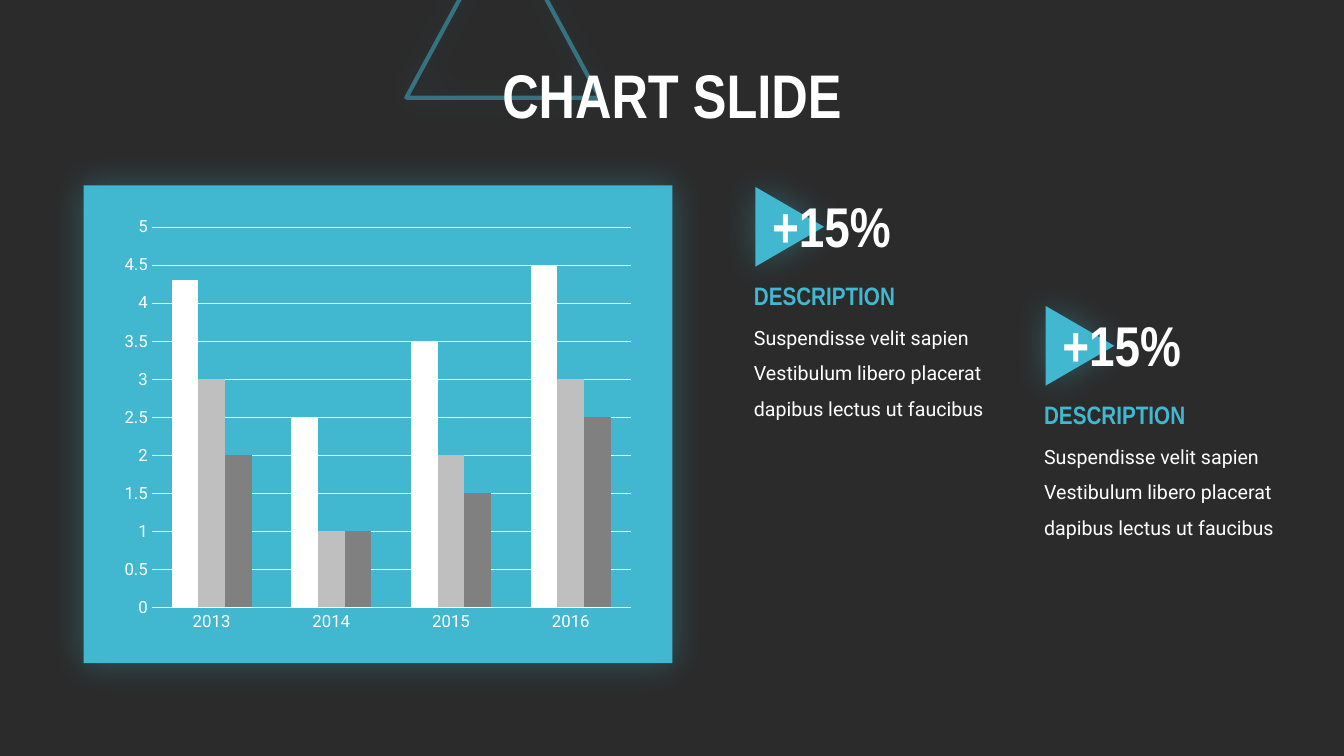
import pptx
import pptx.chart.data
import pptx.dml.color
import pptx.enum.chart
import pptx.enum.shapes
import pptx.enum.text
import pptx.oxml
import pptx.oxml.ns
import pptx.util
from pptx.util import Pt

CYAN, WHITE, DARK = "41B7D0", "FFFFFF", "2B2B2B"
HEADING, BODY = "Arial Narrow", "Roboto"
SHAPES = pptx.enum.shapes.MSO_SHAPE
SERIES = {
    "Series 1": ((4.3, 2.5, 3.5, 4.5), WHITE),
    "Series 2": ((3, 1, 2, 3), "BFBFBF"),
    "Series 3": ((2, 1, 1.5, 2.5), "808080"),
}


def paint(target, color):
    """Give a fill a solid colour."""
    target.solid()
    target.fore_color.rgb = pptx.dml.color.RGBColor.from_string(color)


def style_font(font, face, size, color, bold=False):
    """Set the face, size, colour and weight of a font."""
    font.name, font.size, font.bold = face, Pt(size), bold
    paint(font.fill, color)


def add_glowing_shape(page, kind, left, top, width, height):
    """Add a cyan shape with a soft cyan shadow around it."""
    shape = page.shapes.add_shape(kind, Pt(left), Pt(top), Pt(width), Pt(height))
    paint(shape.fill, CYAN)
    shape.line.fill.background()
    shape.shadow.inherit = False
    effects = shape._element.spPr.find(pptx.oxml.ns.qn("a:effectLst"))
    effects.append(pptx.oxml.parse_xml(
        f'<a:outerShdw {pptx.oxml.ns.nsdecls("a")} blurRad="{Pt(25)}" dist="0" '
        f'algn="ctr" rotWithShape="0"><a:srgbClr val="{CYAN}">'
        '<a:alpha val="35000"/></a:srgbClr></a:outerShdw>'))
    return shape


def add_outline_triangle(page):
    """Add the half-transparent triangle outline at the top edge."""
    triangle = add_glowing_shape(page, SHAPES.ISOSCELES_TRIANGLE, 290.2, -57.6, 138.2, 127.4)
    triangle.fill.background()
    paint(triangle.line.fill, CYAN)
    triangle.line.width = Pt(3)
    color = triangle.line._ln.find(".//" + pptx.oxml.ns.qn("a:srgbClr"))
    color.append(pptx.oxml.parse_xml(
        f'<a:alpha {pptx.oxml.ns.nsdecls("a")} val="50000"/>'))


def add_text(page, text, left, top, width, height, face, size, color, bold=False, spacing=1.0):
    """Add a wrapped text box with one paragraph and return it."""
    box = page.shapes.add_textbox(Pt(left), Pt(top), Pt(width), Pt(height))
    frame = box.text_frame
    frame.word_wrap = True
    frame.text = text
    para = frame.paragraphs[0]
    para.line_spacing = spacing
    style_font(para.runs[0].font, face, size, color, bold)
    return box


def add_title(page):
    """Add the centred slide title."""
    box = add_text(page, "CHART SLIDE", 235.4, 35.3, 489.6, 70.6, HEADING, 44, WHITE, True, 0.9)
    box.text_frame.vertical_anchor = pptx.enum.text.MSO_ANCHOR.MIDDLE
    box.text_frame.paragraphs[0].alignment = pptx.enum.text.PP_ALIGN.CENTER


def add_column_chart(page):
    """Add the clustered column chart."""
    data = pptx.chart.data.CategoryChartData()
    data.categories = ["2013", "2014", "2015", "2016"]
    for name, (values, _) in SERIES.items():
        data.add_series(name, values)
    chart = page.shapes.add_chart(
        pptx.enum.chart.XL_CHART_TYPE.COLUMN_CLUSTERED,
        Pt(81.4), Pt(149), Pt(376.6), Pt(308.2), data).chart
    chart.has_legend = chart.has_title = False
    style_font(chart.font, BODY, 10, WHITE)
    plot = chart.plots[0]
    plot.gap_width, plot.overlap, plot.vary_by_categories = 150, 0, False
    for series, (_, color) in zip(plot.series, SERIES.values()):
        paint(series.format.fill, color)
    for axis in (chart.category_axis, chart.value_axis):
        axis.major_tick_mark = axis.minor_tick_mark = pptx.enum.chart.XL_TICK_MARK.NONE
        axis.format.line.fill.background()
        style_font(axis.tick_labels.font, BODY, 12, WHITE)
    scale = chart.value_axis
    scale.minimum_scale, scale.maximum_scale, scale.major_unit = 0, 5, 0.5
    scale.has_major_gridlines = True
    paint(scale.major_gridlines.format.line.fill, WHITE)
    scale.major_gridlines.format.line.width = Pt(0.75)


def add_callout(page, left, top):
    """Add an arrow, a percentage, a heading and a description."""
    arrow = add_glowing_shape(page, SHAPES.ISOSCELES_TRIANGLE, left + 4.3, top + 4.3, 56.9, 49)
    arrow.rotation = 90
    add_text(page, "Suspendisse velit sapien Vestibulum libero placerat dapibus lectus ut faucibus",
             left, top + 87.8, 202.3, 80.6, BODY, 14, WHITE, spacing=1.5)
    add_text(page, "DESCRIPTION", left, top + 63.4, 176.4, 28.8, HEADING, 18, CYAN, True)
    add_text(page, "+15%", left + 13, top, 128.9, 55.4, HEADING, 40, WHITE, True)


def main():
    """Build the slide and save it."""
    deck = pptx.Presentation()
    deck.slide_width, deck.slide_height = Pt(960), Pt(540)
    page = deck.slides.add_slide(deck.slide_layouts[6])
    paint(page.background.fill, DARK)
    add_outline_triangle(page)
    add_title(page)
    add_glowing_shape(page, SHAPES.RECTANGLE, 59.8, 132.5, 420.5, 341.3)
    add_column_chart(page)
    for left, top in ((531.4, 133.2), (738.7, 218.2)):
        add_callout(page, left, top)
    deck.save("out.pptx")


if __name__ == "__main__":
    main()
